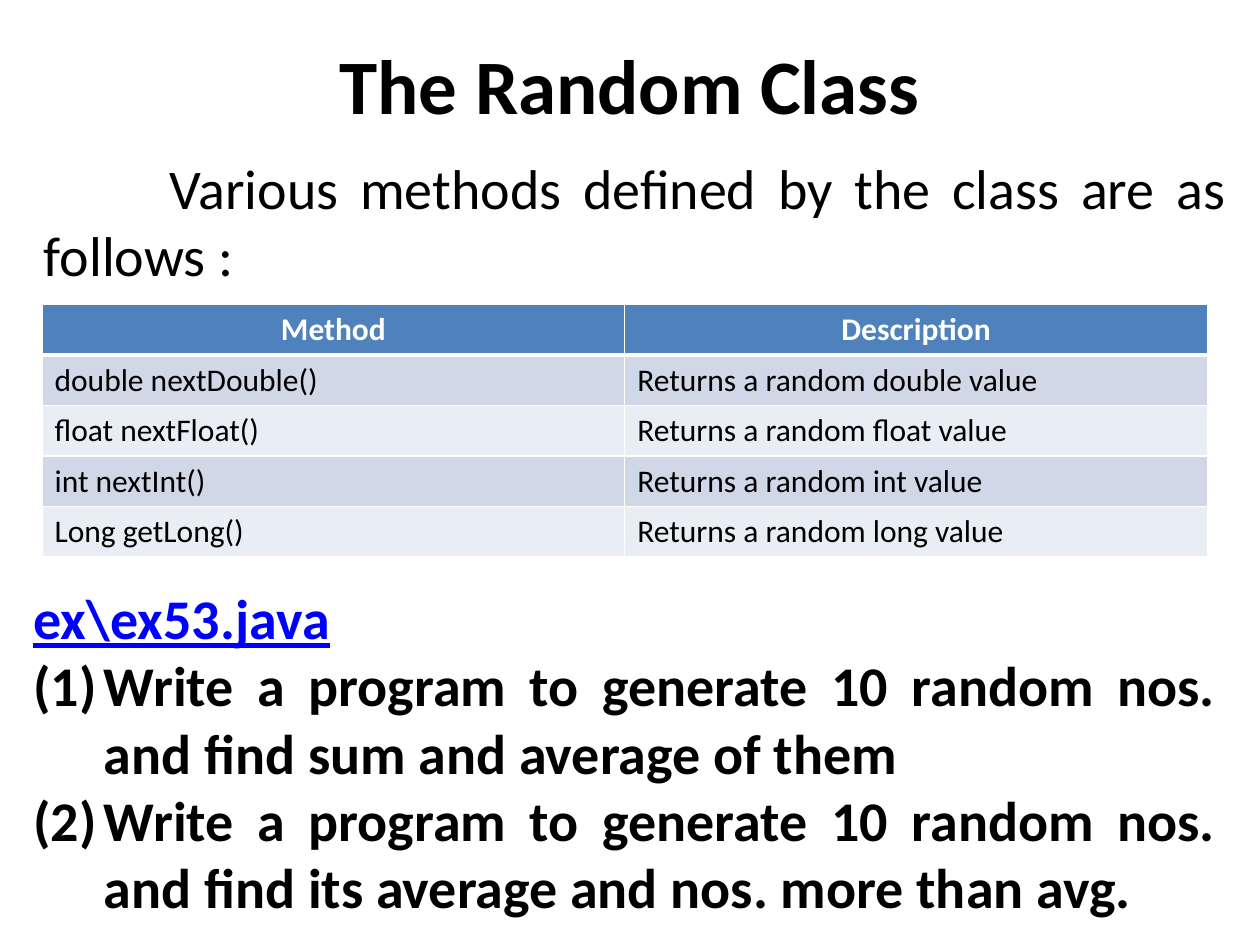
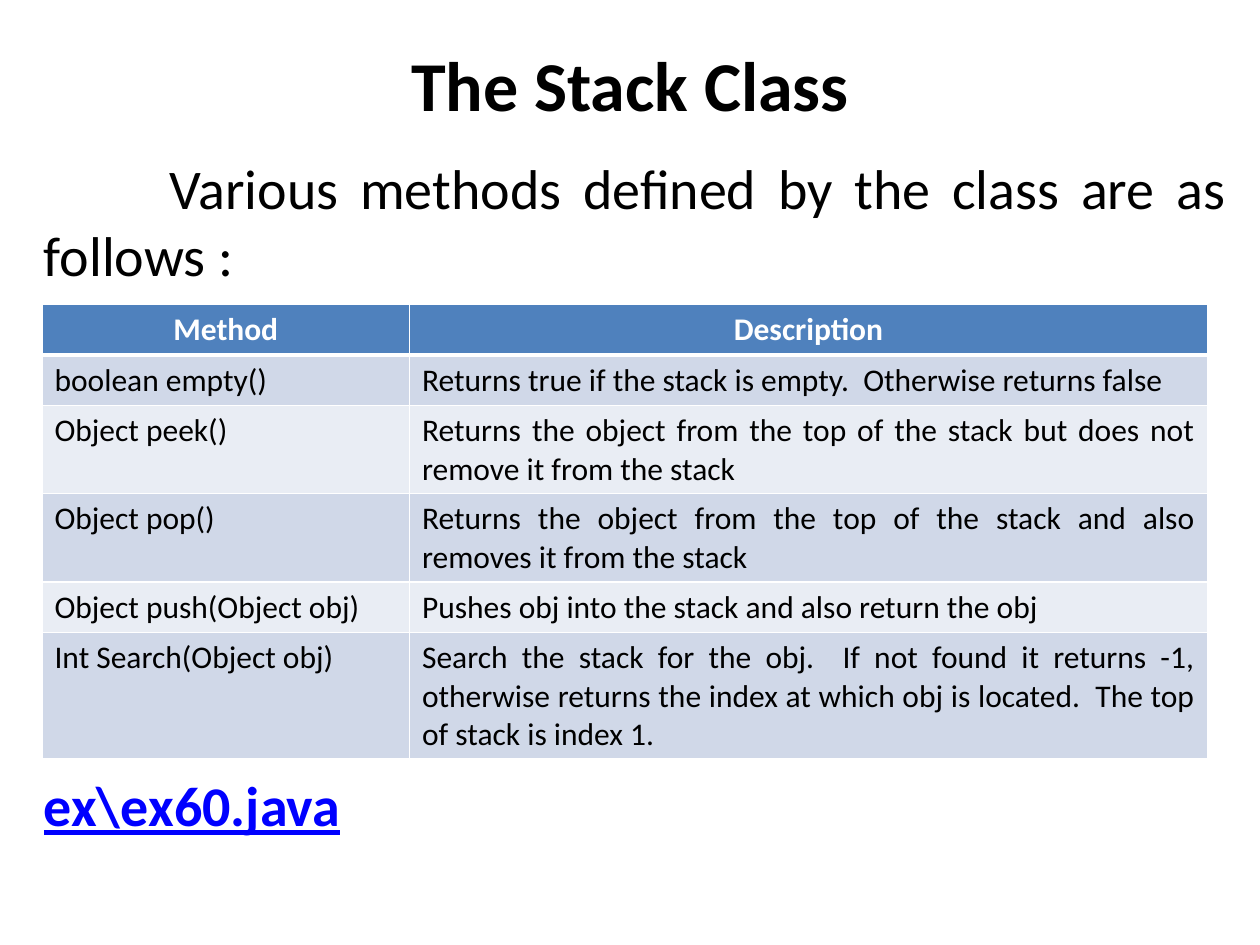
from lxml.etree import SubElement
from pptx import Presentation
from pptx.dml.color import RGBColor as RGB
from pptx.enum.text import MSO_ANCHOR as ANCHOR, MSO_AUTO_SIZE as FIT, PP_ALIGN as AL
from pptx.oxml.ns import qn
from pptx.util import Inches, Pt

BLACK = RGB(0x00, 0x00, 0x00)
WHITE = RGB(0xFF, 0xFF, 0xFF)
LINK = RGB(0x00, 0x00, 0xFF)
HEADER = RGB(0x4F, 0x81, 0xBD)
BANDS = RGB(0xE9, 0xED, 0xF4), RGB(0xD0, 0xD8, 0xE8)

FONT = "Calibri"
BODY_SIZE, CELL_SIZE = 32, 18
COLS, ROWS = 120, 90
INTRO = "Various methods defined by the class are as follows :"
HEADINGS = "Method", "Description"


class Deck:
    """Builds class reference slides on a grid of 120 columns and 90 rows."""

    def __init__(self):
        self.prs = Presentation()
        self.prs.slide_width, self.prs.slide_height = Inches(10), Inches(7.5)
        self.s = None

    def x(self, cols):
        return round(self.prs.slide_width * cols / COLS)

    def y(self, rows):
        return round(self.prs.slide_height * rows / ROWS)

    def slide(self, title, size):
        self.s = self.prs.slides.add_slide(self.prs.slide_layouts[6])
        tf = self.box(0, 2, COLS, 12)
        tf.auto_size = FIT.NONE
        tf.vertical_anchor = ANCHOR.MIDDLE
        self.add_text(tf.paragraphs[0], title, size, bold=True, align=AL.CENTER)
        tf = self.box(3, 14, 115, 14.16)
        p = tf.paragraphs[0]
        p._p.get_or_add_pPr().set("indent", str(Inches(1)))
        self.add_text(p, INTRO)

    def box(self, left, top, width, height):
        sp = self.s.shapes.add_textbox(
            self.x(left), self.y(top), self.x(width), self.y(height))
        tf = sp.text_frame
        tf.word_wrap = True
        tf.auto_size = FIT.SHAPE_TO_FIT_TEXT
        return tf

    def add_text(self, p, text, size=BODY_SIZE, color=BLACK, bold=False,
                 underline=False, align=AL.JUSTIFY):
        p.alignment = align
        r = p.add_run()
        r.text = text
        r.font.name, r.font.size = FONT, Pt(size)
        r.font.bold, r.font.underline = bold, underline
        r.font.color.rgb = color

    def exercise(self, left, top, height, file, tasks=()):
        tf = self.box(left, top, 115, height)
        self.add_text(tf.paragraphs[0], file, color=LINK, bold=True, underline=True)
        for task in tasks:
            p = tf.add_paragraph()
            pPr = p._p.get_or_add_pPr()
            hang = Inches(0.56)
            pPr.set("marL", str(hang))
            pPr.set("indent", str(-hang))
            SubElement(pPr, qn("a:buFont"), typeface="+mj-lt")
            SubElement(pPr, qn("a:buAutoNum"), type="arabicParenBoth")
            self.add_text(p, task, bold=True)

    def table(self, widths, methods, align):
        rows = [HEADINGS, *methods]
        frame = self.s.shapes.add_table(
            len(rows), len(widths), self.x(4), self.y(29),
            self.x(sum(widths)), Inches(0.4) * len(rows))
        tbl = frame.table
        for column, width in zip(tbl.columns, widths):
            column.width = self.x(width)
        for i, texts in enumerate(rows):
            head = i == 0
            for j, text in enumerate(texts):
                cell = tbl.cell(i, j)
                self.borders(cell, top=3 if i == 1 else 1, bottom=3 if head else 1)
                cell.fill.solid()
                cell.fill.fore_color.rgb = HEADER if head else BANDS[i % 2]
                self.add_text(cell.text_frame.paragraphs[0], text, CELL_SIZE,
                              WHITE if head else BLACK, head,
                              align=AL.CENTER if head else align)

    def borders(self, cell, top, bottom):
        tcPr = cell._tc.get_or_add_tcPr()
        for side, width in zip("LRTB", (1, 1, top, bottom)):
            ln = SubElement(tcPr, qn(f"a:ln{side}"), w=str(Pt(width)))
            fill = SubElement(ln, qn("a:solidFill"))
            SubElement(fill, qn("a:srgbClr"), val=str(WHITE))


def main():
    deck = Deck()

    deck.slide("The Random Class", 44)
    deck.table((55.5, 55.5), [
        ("double nextDouble()", "Returns a random double value"),
        ("float nextFloat()", "Returns a random float value"),
        ("int nextInt()", "Returns a random int value"),
        ("Long getLong()", "Returns a random long value"),
    ], AL.LEFT)
    deck.exercise(2, 55, 33.5, "ex\\ex53.java", [
        "Write a program to generate 10 random nos. and find sum and average of them",
        "Write a program to generate 10 random nos. and find its average and nos. "
        "more than avg.",
    ])

    deck.slide("The Stack Class", 40)
    deck.table((35, 76), [
        ("boolean empty()",
         "Returns true if the stack is empty.  Otherwise returns false"),
        ("Object peek()",
         "Returns the object from the top of the stack but does not remove it "
         "from the stack"),
        ("Object pop()",
         "Returns the object from the top of the stack and also removes it "
         "from the stack"),
        ("Object push(Object obj)",
         "Pushes obj into the stack and also return the obj"),
        ("Int Search(Object obj)",
         "Search the stack for the obj.  If not found it returns -1, otherwise "
         "returns the index at which obj is located.  The top of stack is index 1."),
    ], AL.JUSTIFY)
    deck.exercise(3, 72.84, 7.68, "ex\\ex60.java")

    deck.prs.save("out.pptx")


if __name__ == "__main__":
    main()
